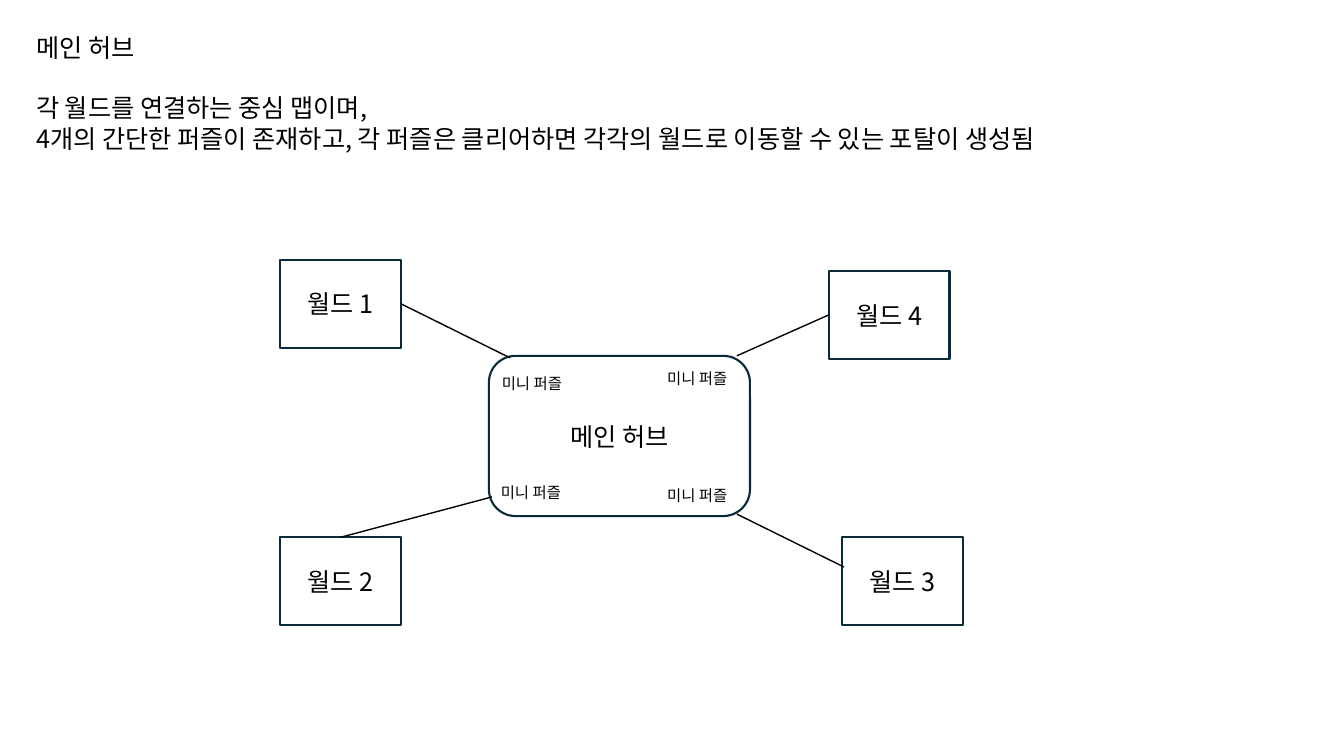
from pptx import Presentation
from pptx.dml.color import RGBColor
from pptx.enum.shapes import MSO_CONNECTOR, MSO_SHAPE
from pptx.enum.text import MSO_ANCHOR, MSO_AUTO_SIZE, PP_ALIGN
from pptx.oxml.ns import qn
from pptx.util import Inches, Pt

RECTANGLE, ROUNDED = MSO_SHAPE.RECTANGLE, MSO_SHAPE.ROUNDED_RECTANGLE
STRAIGHT = MSO_CONNECTOR.STRAIGHT
LEFT, CENTER = PP_ALIGN.LEFT, PP_ALIGN.CENTER
TOP, MIDDLE = MSO_ANCHOR.TOP, MSO_ANCHOR.MIDDLE
GROW, FIXED = MSO_AUTO_SIZE.SHAPE_TO_FIT_TEXT, MSO_AUTO_SIZE.NONE

BLACK = RGBColor(0x00, 0x00, 0x00)
WHITE = RGBColor(0xFF, 0xFF, 0xFF)
NAVY = RGBColor(0x09, 0x2A, 0x39)
FONT = "Noto Sans CJK KR"
BODY_SIZE, SMALL_SIZE = 18, 11
LINE_PITCH = 1.2  # line height as a multiple of the text size

# The grid has square cells, ten to the inch
CELL = Inches(0.1)
COLUMNS, ROWS = 133.33, 75

INTRO_BOX = (2.6, 2.7, 125.9, 13.1)
INTRO = [
    "메인 허브",
    "각 월드를 연결하는 중심 맵이며,",
    "4개의 간단한 퍼즐이 존재하고, 각 퍼즐은 클리어하면 각각의 월드로 이동할 수 있는 포탈이 생성됨",
]
HUB_BOX = (48.5, 35.3, 25.9, 15.9)
WORLD_SIZE = (12, 8.7)
PUZZLE_SIZE = (8.7, 2.9)

# Name, column and row, line start as a share of the box, line end at the hub
WORLDS = [
    ("월드 1", (27.8, 25.8), (1, 0.5), (50.6, 35.5)),
    ("월드 2", (27.8, 53.3), (0.5, 0), (48.8, 49.3)),
    ("월드 3", (83.5, 53.3), (0.02, 0.34), (73.1, 51)),
    ("월드 4", (82.2, 26.9), (0, 0.5), (73.1, 35.3)),
]
PUZZLE_CORNERS = [(48.8, 36.6), (65.2, 36.1), (65.2, 47.7), (48.7, 47.4)]


def cells(*counts):
    return [round(count * CELL) for count in counts]


def apply(target, values):
    for name, value in values.items():
        setattr(target, name, value)


def write(shape, lines, size, alignment, frame_format):
    frame = shape.text_frame
    apply(frame, frame_format)
    for index, line in enumerate(lines):
        paragraph = frame.paragraphs[0] if index == 0 else frame.add_paragraph()
        apply(paragraph, {"alignment": alignment,
                          "line_spacing": Pt(size * LINE_PITCH)})
        run = paragraph.add_run()
        run.text = line
        apply(run.font, {"size": Pt(size), "name": FONT})
        run.font.color.rgb = BLACK
        # Hangul takes the East Asian typeface
        east_asian = run.font._element.makeelement(qn("a:ea"), {"typeface": FONT})
        run.font._element.append(east_asian)
    return frame


def add_label(slide, box, lines, size, wrap):
    shape = slide.shapes.add_textbox(*cells(*box))
    return write(shape, lines, size, LEFT,
                 {"word_wrap": wrap, "auto_size": GROW, "vertical_anchor": TOP})


def add_place(slide, kind, box, name):
    shape = slide.shapes.add_shape(kind, *cells(*box))
    shape.shadow.inherit = False
    shape.fill.solid()
    shape.fill.fore_color.rgb = WHITE
    shape.line.color.rgb = NAVY
    shape.line.width = Pt(1.5)
    write(shape, [name], BODY_SIZE, CENTER,
          {"word_wrap": True, "auto_size": FIXED, "vertical_anchor": MIDDLE})


def add_link(slide, start, end):
    link = slide.shapes.add_connector(STRAIGHT, *cells(*start, *end))
    link.line.color.rgb = BLACK
    link.line.width = Pt(1)
    properties = link._element.spPr
    properties.append(properties.makeelement(qn("a:effectLst"), {}))


def main():
    presentation = Presentation()
    apply(presentation, dict(zip(("slide_width", "slide_height"),
                                 cells(COLUMNS, ROWS))))
    slide = presentation.slides.add_slide(presentation.slide_layouts[6])

    # Introduction, with a one-line gap under its heading
    intro = add_label(slide, INTRO_BOX, INTRO, BODY_SIZE, True)
    intro.paragraphs[1].space_before = Pt(BODY_SIZE * LINE_PITCH)

    # Hub and the worlds around it
    add_place(slide, ROUNDED, HUB_BOX, INTRO[0])
    for name, corner, _, _ in WORLDS:
        add_place(slide, RECTANGLE, corner + WORLD_SIZE, name)

    # Links from each world to the hub
    for _, corner, share, hub_end in WORLDS:
        start = [edge + part * length
                 for edge, part, length in zip(corner, share, WORLD_SIZE)]
        add_link(slide, start, hub_end)

    # A mini puzzle in each corner of the hub
    for corner in PUZZLE_CORNERS:
        add_label(slide, corner + PUZZLE_SIZE, ["미니 퍼즐"], SMALL_SIZE, False)

    presentation.save("out.pptx")


if __name__ == "__main__":
    main()
